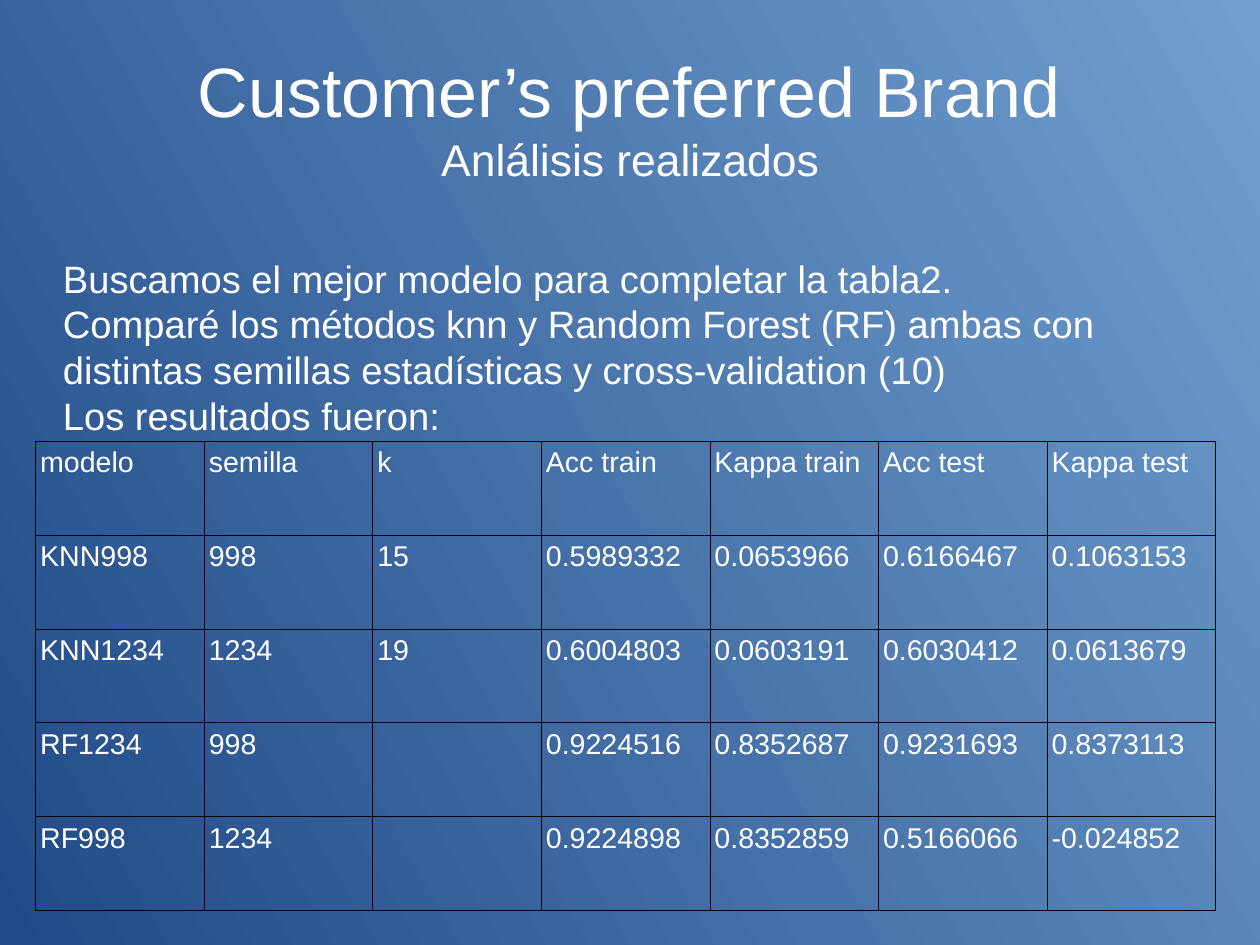
import pptx
import pptx.dml.color
import pptx.enum.text
import pptx.oxml
import pptx.oxml.ns
import pptx.util

COLORS = {"text": "FFFFFF", "border": "000000", "light": "729FCF", "dark": "204A87"}
FONT = "Arial"
WIDTH = pptx.util.Cm(28)
HEIGHT = pptx.util.Cm(21)
MARGIN = 5
CONTENT_WIDTH = 90

INTRO = [
    "Buscamos el mejor modelo para completar la tabla2.",
    "Comparé los métodos knn y Random Forest (RF) ambas con distintas "
    "semillas estadísticas y cross-validation (10)",
    "Los resultados fueron:",
]
RESULTS = [
    ["modelo", "semilla", "k", "Acc train", "Kappa train", "Acc test", "Kappa test"],
    ["KNN998", "998", "15", "0.5989332", "0.0653966", "0.6166467", "0.1063153"],
    ["KNN1234", "1234", "19", "0.6004803", "0.0603191", "0.6030412", "0.0613679"],
    ["RF1234", "998", "", "0.9224516", "0.8352687", "0.9231693", "0.8373113"],
    ["RF998", "1234", "", "0.9224898", "0.8352859", "0.5166066", "-0.024852"],
]


def rgb(name):
    return pptx.dml.color.RGBColor.from_string(COLORS[name])


def across(percent):
    return round(WIDTH * percent / 100)


def down(percent):
    return round(HEIGHT * percent / 100)


def style_font(font, size):
    font.name = FONT
    font.size = pptx.util.Pt(size)
    font.color.rgb = rgb("text")


def paint_background(slide):
    fill = slide.background.fill
    fill.gradient()
    fill.gradient_angle = 210
    for stop, shade in zip(fill.gradient_stops, ("light", "dark")):
        stop.color.rgb = rgb(shade)


def add_text_frame(slide, top, height):
    frame = slide.shapes.add_textbox(
        across(MARGIN), down(top), across(CONTENT_WIDTH), down(height)
    ).text_frame
    frame.word_wrap = True
    frame.vertical_anchor = pptx.enum.text.MSO_ANCHOR.MIDDLE
    frame.margin_left = frame.margin_right = 0
    frame.margin_top = frame.margin_bottom = 0
    return frame


def add_title(slide, title, subtitle):
    heading = add_text_frame(slide, 4, 16.7).paragraphs[0]
    heading.alignment = pptx.enum.text.PP_ALIGN.CENTER
    title_run = heading.add_run()
    title_run.text = title
    style_font(title_run.font, 44)
    heading.add_line_break()
    subtitle_run = heading.add_run()
    subtitle_run.text = subtitle
    style_font(subtitle_run.font, 28)


def add_intro(slide, sentences):
    frame = add_text_frame(slide, 21.9, 29.5)
    frame.text = "\n".join(sentences)
    for sentence in frame.paragraphs:
        style_font(sentence.font, 24)


def add_borders(cell):
    properties = cell._tc.get_or_add_tcPr()
    for position, side in enumerate(("lnL", "lnR", "lnT", "lnB")):
        border = pptx.oxml.parse_xml(
            f'<a:{side} {pptx.oxml.ns.nsdecls("a")} w="{pptx.util.Pt(0.57)}">'
            f'<a:solidFill><a:srgbClr val="{COLORS["border"]}"/></a:solidFill>'
            f"</a:{side}>"
        )
        properties.insert(position, border)


def fill_cell(cell, value):
    cell.text = value
    cell.fill.background()
    cell.margin_left = cell.margin_right = pptx.util.Inches(0.04)
    cell.margin_top = cell.margin_bottom = pptx.util.Inches(0.05)
    style_font(cell.text_frame.paragraphs[0].font, 18)
    add_borders(cell)


def add_results(slide, results):
    table = slide.shapes.add_table(
        len(results), len(results[0]),
        across(2.83), down(46.69), across(93.65), down(49.68),
    ).table
    table.first_row = False
    table.horz_banding = False
    for row, values in enumerate(results):
        for column, value in enumerate(values):
            fill_cell(table.cell(row, column), value)


def main():
    presentation = pptx.Presentation()
    presentation.slide_width = WIDTH
    presentation.slide_height = HEIGHT
    slide = presentation.slides.add_slide(presentation.slide_layouts[6])
    paint_background(slide)
    add_intro(slide, INTRO)
    add_results(slide, RESULTS)
    add_title(slide, "Customer’s preferred Brand", "Anlálisis realizados")
    presentation.save("out.pptx")


if __name__ == "__main__":
    main()
